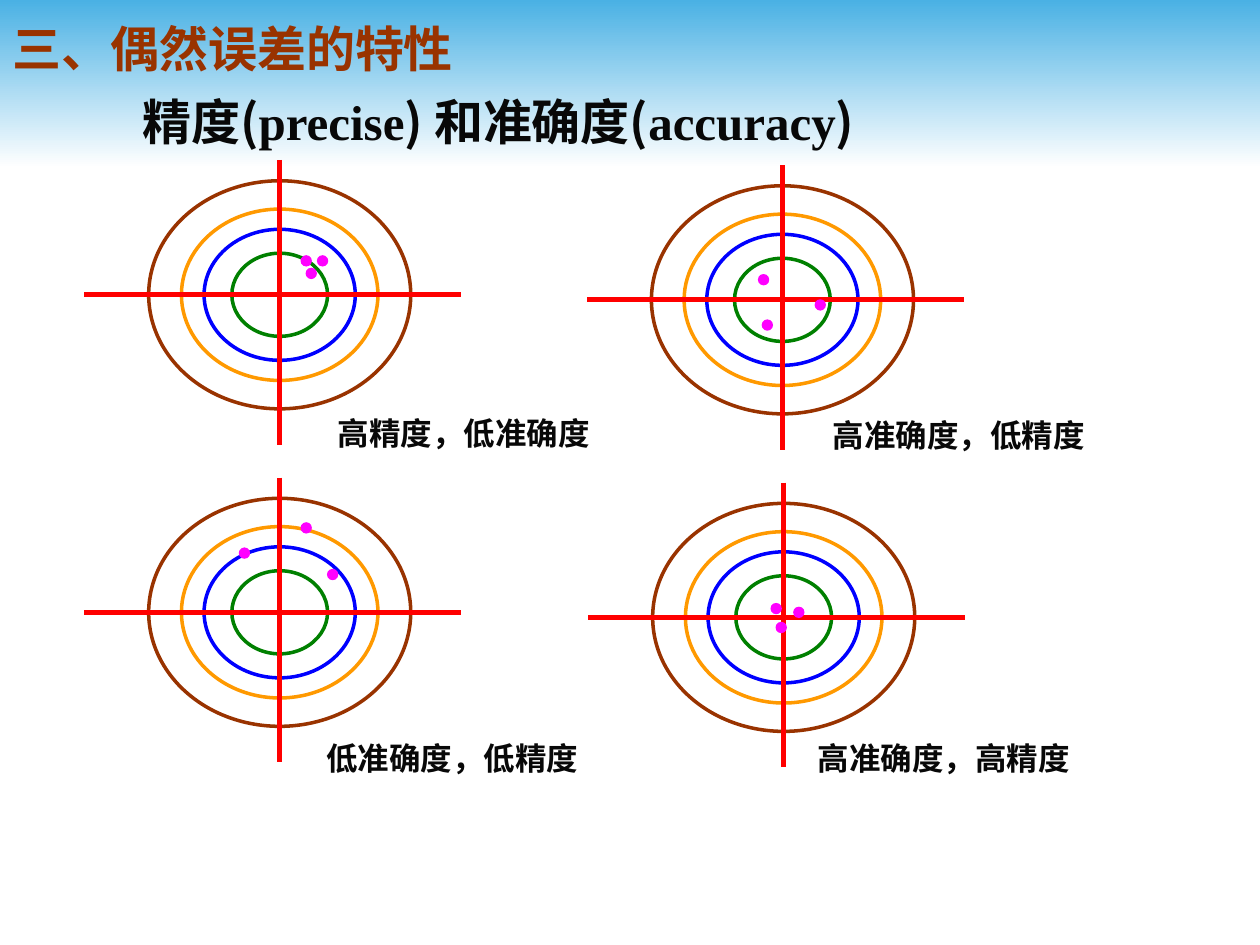
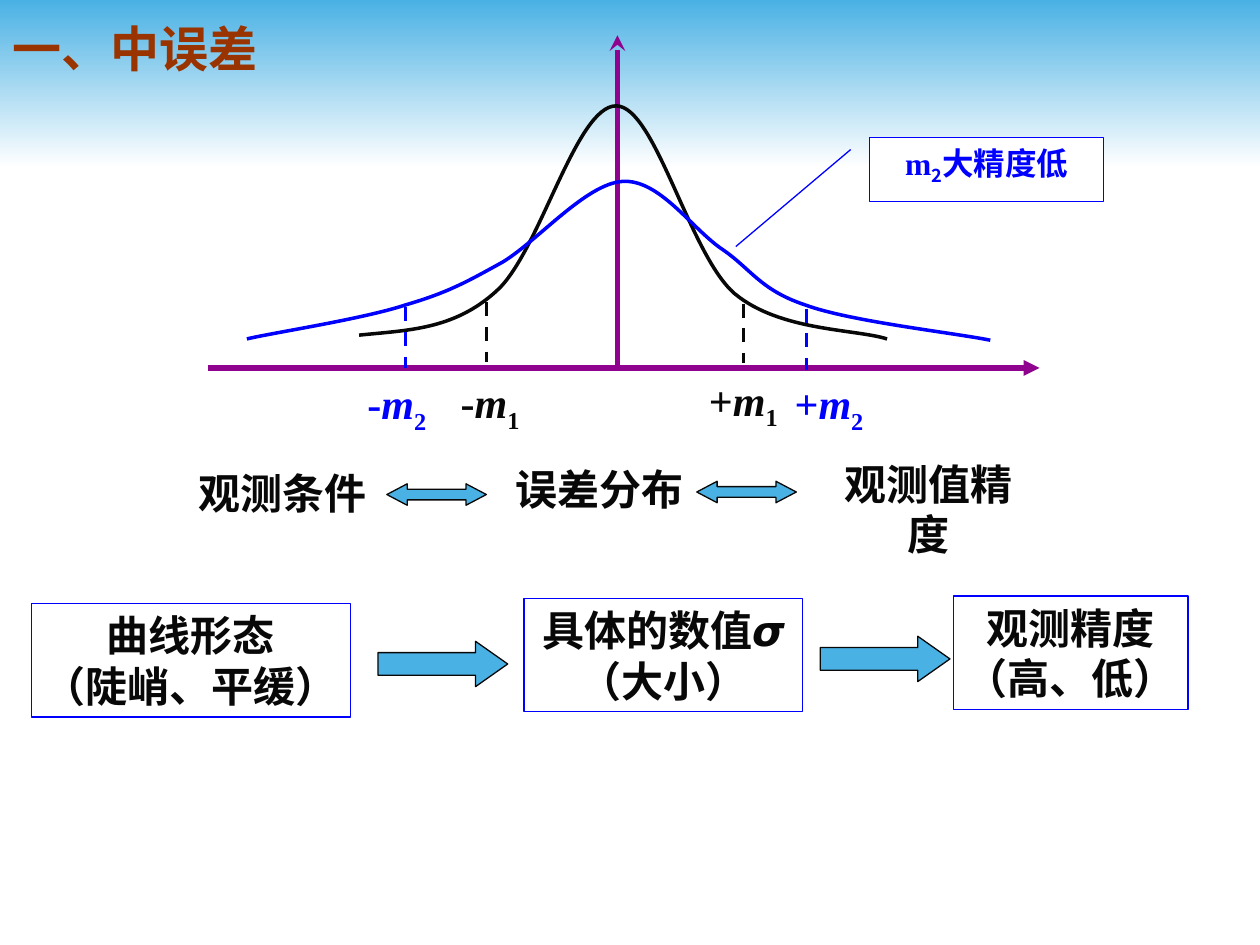
from lxml.etree import SubElement
from pptx import Presentation
from pptx.dml.color import RGBColor
from pptx.enum.dml import MSO_LINE
from pptx.enum.shapes import MSO_CONNECTOR, MSO_SHAPE
from pptx.enum.text import MSO_ANCHOR, MSO_AUTO_SIZE, PP_ALIGN
from pptx.oxml.ns import qn
from pptx.util import Inches, Pt

SKY = RGBColor(0x4A, 0xB1, 0xE4)
WHITE = RGBColor(0xFF, 0xFF, 0xFF)
BROWN = RGBColor(0x99, 0x33, 0x00)
ORANGE = RGBColor(0xFF, 0x99, 0x00)
BLUE = RGBColor(0x00, 0x00, 0xFF)
GREEN = RGBColor(0x00, 0x80, 0x00)
RED = RGBColor(0xFF, 0x00, 0x00)
MAGENTA = RGBColor(0xFF, 0x00, 0xFF)
PURPLE = RGBColor(0x8F, 0x03, 0x8F)
INK = RGBColor(0x08, 0x08, 0x08)
CJK, SERIF, SANS = "Noto Sans CJK SC", "Times New Roman", "DejaVu Sans"

# Slide 1: targets
TITLE_1 = "三、偶然误差的特性"
HEADING = [("精度(", CJK), ("precise", SERIF), (") 和准确度(", CJK),
           ("accuracy", SERIF), (")", CJK)]
RINGS = [(2.08, 1.81, BROWN), (1.56, 1.36, ORANGE), (1.2, 1.04, BLUE), (0.76, 0.66, GREEN)]
DOT = 0.09
# Centre, hits relative to the centre, label, label box
TARGETS = [
    ((2.22, 2.34), [(0.34, -0.27), (0.21, -0.27), (0.25, -0.17)],
     "高精度，低准确度", (2.54, 3.24, 2.28, 0.4)),
    ((6.21, 2.38), [(-0.12, 0.2), (0.3, 0.04), (-0.15, -0.16)],
     "高准确度，低精度", (6.51, 3.25, 2.2, 0.4)),
    ((2.22, 4.86), [(0.21, -0.67), (0.42, -0.3), (-0.28, -0.47)],
     "低准确度，低精度", (2.49, 5.82, 2.2, 0.4)),
    ((6.22, 4.9), [(-0.02, 0.08), (0.12, -0.04), (-0.06, -0.07)],
     "高准确度，高精度", (6.39, 5.82, 2.2, 0.4)),
]

# Slide 2: error curves; each curve is a start point, then three points per Bézier segment
TITLE_2 = "一、中误差"
AXES = [((1.65, 2.92), (8.25, 2.92), "triangle"), ((4.9, 2.92), (4.9, 0.28), "stealth")]
CURVES = [
    (INK, [(2.85, 2.66), (3.23, 2.62), (3.6, 2.62), (3.94, 2.31),
           (4.28, 2.01), (4.57, 0.84), (4.89, 0.84),
           (5.2, 0.84), (5.47, 2.02), (5.83, 2.33),
           (6.19, 2.63), (6.79, 2.61), (7.04, 2.69)]),
    (BLUE, [(1.96, 2.69), (2.17, 2.64), (2.89, 2.53), (3.22, 2.42),
            (3.56, 2.32), (3.7, 2.24), (3.99, 2.08),
            (4.27, 1.91), (4.65, 1.46), (4.94, 1.44),
            (5.23, 1.42), (5.48, 1.8), (5.72, 1.97),
            (5.96, 2.13), (6.03, 2.3), (6.39, 2.42),
            (6.74, 2.55), (7.56, 2.64), (7.86, 2.7)]),
]
# Sign, index, colour, dash x, dash top, dash bottom, label left, label top
DEVIATIONS = [
    ("-", "1", INK, 3.86, 2.4, 2.87, 3.46, 2.94),
    ("+", "1", INK, 5.9, 2.41, 2.88, 5.47, 2.92),
    ("-", "2", BLUE, 3.22, 2.44, 2.92, 2.72, 2.95),
    ("+", "2", BLUE, 6.4, 2.45, 2.94, 6.15, 2.95),
]
CALLOUT = [("m", SERIF), ("2", CJK, "sub"), ("大精度低", CJK)]
CONCEPTS = [("观测条件", (1.42, 3.66, 1.65, 0.5)),
            ("误差分布", (3.92, 3.63, 1.67, 0.5)),
            ("观测值精度", (6.44, 3.59, 1.86, 0.5))]
STEPS = [
    ([[("曲线形态", SANS)], [("（陡峭、平缓）", SANS)]], (0.25, 4.79, 2.53, 0.9)),
    ([[("具体的数值", SANS), ("σ", SANS, "italic")], [("（大小）", SANS)]],
     (4.16, 4.75, 2.21, 0.9)),
    ([[("观测精度", SANS)], [("（高、低）", SANS)]], (7.57, 4.73, 1.86, 0.9)),
]
ARROWS = [
    (MSO_SHAPE.LEFT_RIGHT_ARROW, 0.95, (3.07, 3.84, 0.79, 0.17)),
    (MSO_SHAPE.LEFT_RIGHT_ARROW, 0.95, (5.53, 3.82, 0.79, 0.17)),
    (MSO_SHAPE.RIGHT_ARROW, 0.71, (3, 5.09, 1.03, 0.36)),
    (MSO_SHAPE.RIGHT_ARROW, 0.71, (6.51, 5.05, 1.03, 0.36)),
]


def inches(values):
    return [Inches(v) for v in values]


def set_font(font, size, color, name=None):
    font.size, font.bold, font.color.rgb = Pt(size), True, color
    if name:
        font.name = name


def write(tf, paragraphs, size, color=INK, wrap=False):
    """Fill a frame with centred paragraphs, each a list of (text, font, *styles)."""
    tf.word_wrap = wrap
    tf.vertical_anchor = MSO_ANCHOR.TOP
    for i, runs in enumerate(paragraphs):
        p = tf.add_paragraph() if i else tf.paragraphs[0]
        p.alignment = PP_ALIGN.CENTER
        names = {run[1] for run in runs}
        set_font(p.font, size, color, names.pop() if len(names) == 1 else None)
        for text, name, *styles in runs:
            r = p.add_run()
            r.text = text
            if p.font.name is None:
                r.font.name = name
            if "italic" in styles:
                r.font.italic = True
            if "sub" in styles:
                r.font._element.set("baseline", "-25000")


def add_text(slide, box, runs, size, color=INK):
    tb = slide.shapes.add_textbox(*inches(box))
    write(tb.text_frame, [runs], size, color)


def add_shape(slide, kind, box, fill=None, line=None, width=0.75):
    sp = slide.shapes.add_shape(kind, *inches(box))
    sp.shadow.inherit = False
    if fill is None:
        sp.fill.background()
    else:
        sp.fill.solid()
        sp.fill.fore_color.rgb = fill
    if line is None:
        sp.line.fill.background()
    else:
        sp.line.color.rgb, sp.line.width = line, Pt(width)
    return sp


def add_line(slide, start, end, color, width, dashed=False, head=None):
    ln = slide.shapes.add_connector(MSO_CONNECTOR.STRAIGHT, *inches(start + end))
    ln.line.color.rgb, ln.line.width = color, Pt(width)
    if dashed:
        ln.line.dash_style = MSO_LINE.DASH
    sp_pr = ln.element.spPr
    if head:
        SubElement(sp_pr.find(qn("a:ln")), qn("a:tailEnd"), type=head)
    SubElement(sp_pr, qn("a:effectLst"))


def add_curve(slide, points, color):
    """Draw an open Bézier curve by regrouping a polyline's points in threes."""
    start, *rest = [inches(pt) for pt in points]
    builder = slide.shapes.build_freeform(*start)
    builder.add_line_segments(rest, close=False)
    sp = builder.convert_to_shape()
    sp.shadow.inherit = False
    sp.fill.background()
    sp.line.color.rgb, sp.line.width = color, Pt(2)
    outline = next(sp.element.iter(qn("a:path")))
    segments = outline.findall(qn("a:lnTo"))
    for i in range(0, len(segments), 3):
        bezier = SubElement(outline, qn("a:cubicBezTo"))
        for segment in segments[i:i + 3]:
            bezier.append(segment[0])
            outline.remove(segment)


def add_slide(prs, layout, title):
    slide = prs.slides.add_slide(layout)
    sp = slide.shapes.title
    sp.left, sp.top, sp.width, sp.height = inches((0, 0, 9.45, 0.73))
    tf = sp.text_frame
    tf.text = title
    tf.word_wrap, tf.auto_size = True, MSO_AUTO_SIZE.NONE
    tf.vertical_anchor = MSO_ANCHOR.TOP
    p = tf.paragraphs[0]
    p.alignment, p.line_spacing = PP_ALIGN.LEFT, 1.2
    set_font(p.font, 28, BROWN, CJK)
    return slide


def add_band(slide, layout):
    """Put the gradient band behind everything on the shared layout."""
    band = add_shape(slide, MSO_SHAPE.RECTANGLE, (0, 0, 10, 1.33))
    band.fill.gradient()
    band.fill.gradient_angle = 270
    for stop, color in zip(band.fill.gradient_stops, (SKY, WHITE)):
        stop.color.rgb = color
    band.element.nvSpPr.cNvPr.set("id", "99")
    layout.shapes.element.insert(2, band.element)


def add_target(slide, center, hits):
    x, y = center
    for w, h, color in RINGS:
        add_shape(slide, MSO_SHAPE.OVAL, (x - w / 2, y - h / 2, w, h), line=color, width=2)
    add_line(slide, (x - 1.55, y), (x + 1.44, y), RED, 3)
    add_line(slide, (x, y - 1.07), (x, y + 1.19), RED, 3)
    for dx, dy in hits:
        add_shape(slide, MSO_SHAPE.OVAL,
                  (x + dx - DOT / 2, y + dy - DOT / 2, DOT, DOT), fill=MAGENTA)


def build_targets(slide):
    add_text(slide, (0.64, 0.68, 6.63, 0.57), HEADING, 28)
    for center, hits, label, box in TARGETS:
        add_target(slide, center, hits)
        add_text(slide, box, [(label, SERIF)], 18)


def build_curves(slide):
    for start, end, head in AXES:
        add_line(slide, start, end, PURPLE, 3, head=head)
    for color, points in CURVES:
        add_curve(slide, points, color)
    for sign, index, color, x, top, bottom, left, label_top in DEVIATIONS:
        add_line(slide, (x, top), (x, bottom), color, 2, dashed=True)
        add_text(slide, (left, label_top, 0.86, 0.56),
                 [(sign, SERIF), ("m", SERIF, "italic"), (index, SERIF, "sub")], 24, color)

    callout = add_shape(slide, MSO_SHAPE.LINE_CALLOUT_1, (6.9, 1.09, 1.86, 0.51), WHITE, BLUE)
    for i, value in enumerate((0.19, -0.08, 1.7, -0.57)):
        callout.adjustments[i] = value
    write(callout.text_frame, [CALLOUT], 18, BLUE, wrap=True)

    for text, box in CONCEPTS:
        add_text(slide, box, [(text, SANS)], 24)
    for paragraphs, box in STEPS:
        step = add_shape(slide, MSO_SHAPE.RECTANGLE, box, WHITE, BLUE)
        write(step.text_frame, paragraphs, 24)
    for kind, head_length, box in ARROWS:
        arrow = add_shape(slide, kind, box, SKY, INK)
        arrow.adjustments[1] = head_length


def set_east_asian_font(slide):
    for latin in list(slide.element.iter(qn("a:latin"))):
        ea = latin.makeelement(qn("a:ea"), {"typeface": CJK})
        latin.addnext(ea)


def main():
    prs = Presentation()
    prs.slide_width, prs.slide_height = Inches(10), Inches(7.5)
    layout = prs.slide_layouts[5]
    targets = add_slide(prs, layout, TITLE_1)
    add_band(targets, layout)
    build_targets(targets)
    curves = add_slide(prs, layout, TITLE_2)
    build_curves(curves)
    for slide in prs.slides:
        set_east_asian_font(slide)
    prs.save("out.pptx")


if __name__ == "__main__":
    main()
